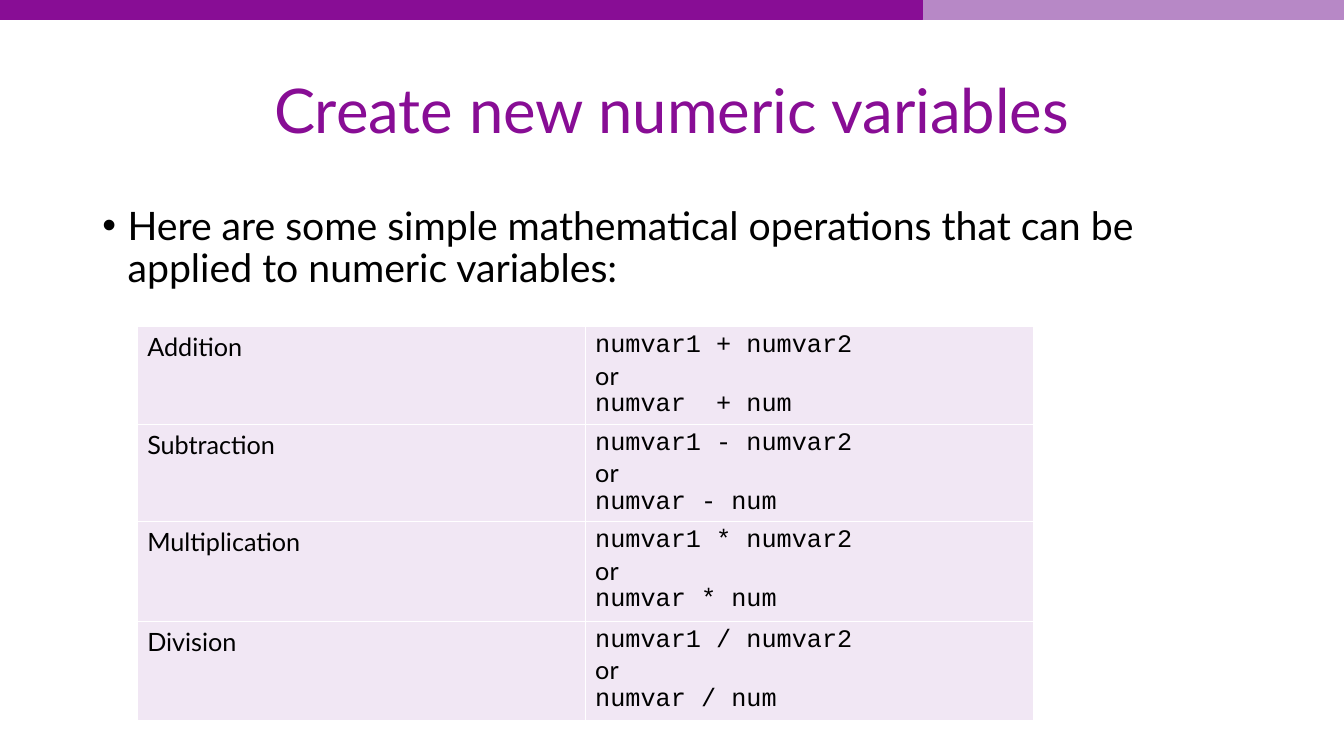
import pptx
import pptx.dml.color
import pptx.enum.shapes
import pptx.enum.text
import pptx.oxml
import pptx.oxml.ns
import pptx.util
from dataclasses import dataclass

Pt = pptx.util.Pt
ALIGN = pptx.enum.text.PP_ALIGN
ANCHOR = pptx.enum.text.MSO_ANCHOR


@dataclass(frozen=True)
class Theme:
    purple: str = "880D95"
    lilac: str = "B788C6"
    pale: str = "F1E7F4"
    white: str = "FFFFFF"
    black: str = "000000"
    font: str = "Lato"
    code_font: str = "Courier New"
    title_size: int = 44
    body_size: int = 28
    table_size: int = 18


THEME = Theme()
OPERATIONS = [
    ("Addition", "numvar1 + numvar2", "numvar  + num"),
    ("Subtraction", "numvar1 - numvar2", "numvar - num"),
    ("Multiplication", "numvar1 * numvar2", "numvar * num"),
    ("Division", "numvar1 / numvar2", "numvar / num"),
]
ROW_HEIGHTS = (69.6, 69.6, 71, 71)


def rgb(value):
    return pptx.dml.color.RGBColor.from_string(value)


def write_text(paragraph, text, size, font=THEME.font, color=THEME.black,
               align=ALIGN.LEFT, line_spacing=1.0):
    paragraph.alignment = align
    paragraph.line_spacing = line_spacing
    paragraph.space_before = Pt(0)
    run = paragraph.add_run()
    run.text = text
    run.font.name = font
    run.font.size = Pt(size)
    run.font.color.rgb = rgb(color)


def place(shape, left, top, width, height):
    shape.left, shape.top = Pt(left), Pt(top)
    shape.width, shape.height = Pt(width), Pt(height)


def add_top_band(slide, left, top, width, height):
    split = 658.8
    for start, end, color in ((split, width, THEME.lilac), (0, split, THEME.purple)):
        band = slide.shapes.add_shape(
            pptx.enum.shapes.MSO_SHAPE.RECTANGLE,
            Pt(left + start), Pt(top), Pt(end - start), Pt(height))
        band.shadow.inherit = False
        band.fill.solid()
        band.fill.fore_color.rgb = rgb(color)
        band.line.color.rgb = rgb(color)
        band.line.width = Pt(0.75)


def add_title(slide, text, *box):
    title = slide.shapes.title
    place(title, *box)
    frame = title.text_frame
    frame.auto_size = pptx.enum.text.MSO_AUTO_SIZE.NONE
    frame.vertical_anchor = ANCHOR.MIDDLE
    write_text(frame.paragraphs[0], text, THEME.title_size, color=THEME.purple,
               align=ALIGN.CENTER, line_spacing=0.9)


def add_body(slide, text, *box):
    body = slide.placeholders[1]
    place(body, *box)
    frame = body.text_frame
    frame.auto_size = pptx.enum.text.MSO_AUTO_SIZE.NONE
    frame.vertical_anchor = ANCHOR.TOP
    paragraph = frame.paragraphs[0]
    # Hanging bullet
    properties = paragraph._p.get_or_add_pPr()
    properties.set("marL", str(Pt(18)))
    properties.set("indent", str(-Pt(18)))
    namespace = pptx.oxml.ns.nsdecls("a")
    for tag in ('buFont typeface="Arial"', 'buChar char="•"'):
        name, attribute = tag.split(" ")
        properties.append(pptx.oxml.parse_xml(f"<a:{name} {namespace} {attribute}/>"))
    write_text(paragraph, text, THEME.body_size, line_spacing=0.9)


def format_cell(cell):
    # Borders come before the fill in the cell properties
    properties = cell._tc.get_or_add_tcPr()
    namespace = pptx.oxml.ns.nsdecls("a")
    for side in ("lnL", "lnR", "lnT", "lnB"):
        properties.append(pptx.oxml.parse_xml(
            f'<a:{side} {namespace} w="{Pt(1)}"><a:solidFill>'
            f'<a:srgbClr val="{THEME.white}"/></a:solidFill></a:{side}>'))
    cell.fill.solid()
    cell.fill.fore_color.rgb = rgb(THEME.pale)
    cell.vertical_anchor = ANCHOR.TOP


def add_operations_table(slide, left, top, width):
    table = slide.shapes.add_table(
        len(OPERATIONS), 2, Pt(left), Pt(top), Pt(width), Pt(sum(ROW_HEIGHTS))).table
    table.first_row = False
    table.horz_banding = False
    for column in table.columns:
        column.width = Pt(width / 2)
    for row, height, (operation, two_variables, with_number) in zip(
            table.rows, ROW_HEIGHTS, OPERATIONS):
        row.height = Pt(height)
        name_cell, formula_cell = row.cells
        format_cell(name_cell)
        format_cell(formula_cell)
        write_text(name_cell.text_frame.paragraphs[0], operation, THEME.table_size)
        formulas = formula_cell.text_frame
        write_text(formulas.paragraphs[0], two_variables, THEME.table_size,
                   font=THEME.code_font)
        write_text(formulas.add_paragraph(), "or", THEME.table_size)
        write_text(formulas.add_paragraph(), with_number, THEME.table_size,
                   font=THEME.code_font)


def build_operations_slide(presentation, left, top, width):
    slide = presentation.slides.add_slide(presentation.slide_layouts[1])
    add_top_band(slide, left, top - 0.7, width, 14.4)
    add_title(slide, "Create new numeric variables", left + 66, top + 28.8, 828, 104.4)
    add_body(slide, "Here are some simple mathematical operations that can be "
             "applied to numeric variables:", left + 66, top + 144, 828, 342.7)
    add_operations_table(slide, left + 98, top + 233.5, 640)


def main():
    presentation = pptx.Presentation()
    presentation.slide_width = Pt(960)
    presentation.slide_height = Pt(540)
    build_operations_slide(presentation, 0, 0, 960)
    presentation.save("out.pptx")


if __name__ == "__main__":
    main()
